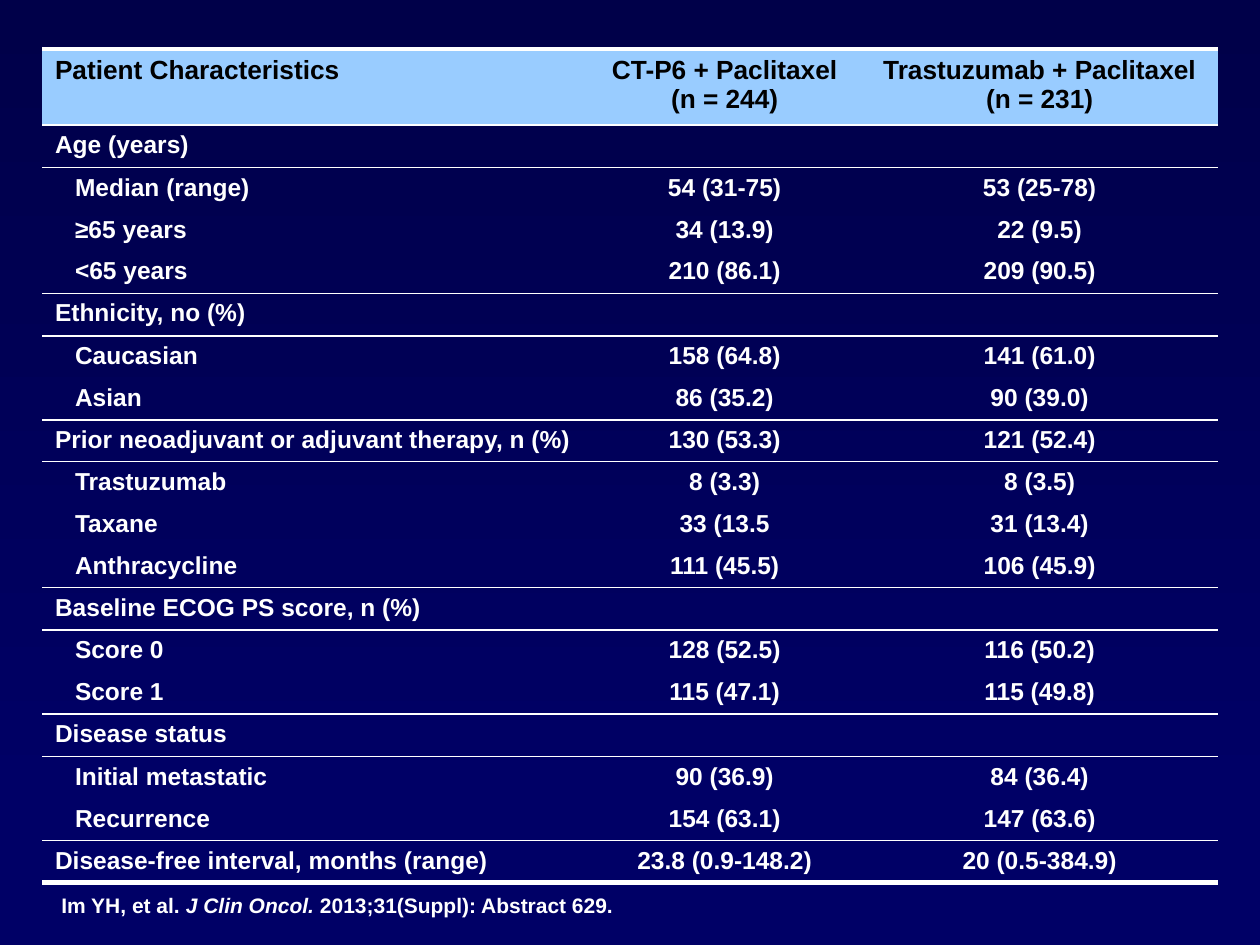
"""Build a slide with a table of patient characteristics by treatment arm."""
import pptx
import pptx.dml.color
import pptx.enum.shapes
import pptx.enum.text
import pptx.oxml.ns
import pptx.util
from lxml import etree

PX = 914400 // 126
FONT = "Arial"
WHITE, BLACK, HEADER_BLUE = "FFFFFF", "000000", "99CCFF"
NAVY, DARK_NAVY = "000066", "000049"
NO_TABLE_STYLE = "{2D5ABB26-0587-4C30-8999-92F81FD0307C}"
COLUMN_WIDTHS = (546, 273, 357)
HEADER_HEIGHT, ROW_HEIGHT = 76, 42
CELL_MARGIN, INDENT = 13, 20

HEADINGS = (
    ["Patient Characteristics"],
    ["CT-P6 + Paclitaxel", "(n = 244)"],
    ["Trastuzumab + Paclitaxel", "(n = 231)"],
)
GROUPS = (
    (("Age (years)", "", ""),
     ("Median (range)", "54 (31-75)", "53 (25-78)"),
     ("≥65 years", "34 (13.9)", "22 (9.5)"),
     ("<65 years", "210 (86.1)", "209 (90.5)")),
    (("Ethnicity, no (%)", "", ""),
     ("Caucasian", "158 (64.8)", "141 (61.0)"),
     ("Asian", "86 (35.2)", "90 (39.0)")),
    (("Prior neoadjuvant or adjuvant therapy, n (%)", "130 (53.3)", "121 (52.4)"),
     ("Trastuzumab", "8 (3.3)", "8 (3.5)"),
     ("Taxane", "33 (13.5", "31 (13.4)"),
     ("Anthracycline", "111 (45.5)", "106 (45.9)")),
    (("Baseline ECOG PS score, n (%)", "", ""),
     ("Score 0", "128 (52.5)", "116 (50.2)"),
     ("Score 1", "115 (47.1)", "115 (49.8)")),
    (("Disease status", "", ""),
     ("Initial metastatic", "90 (36.9)", "84 (36.4)"),
     ("Recurrence", "154 (63.1)", "147 (63.6)")),
    (("Disease-free interval, months (range)", "23.8 (0.9-148.2)", "20 (0.5-384.9)"),),
)


def px(length):
    return pptx.util.Emu(length * PX)


def rgb(value):
    return pptx.dml.color.RGBColor.from_string(value)


def add_run(paragraph, text, size, color, italic=False):
    run = paragraph.add_run()
    run.text = text
    run.font.name = FONT
    run.font.size = pptx.util.Pt(size)
    run.font.bold = True
    run.font.italic = italic
    run.font.color.rgb = rgb(color)


def add_backdrop(slide):
    slide.background.fill.solid()
    slide.background.fill.fore_color.rgb = rgb(NAVY)
    backdrop = slide.shapes.add_shape(
        pptx.enum.shapes.MSO_SHAPE.RECTANGLE, 0, 0, px(1260), px(809))
    backdrop.shadow.inherit = False
    backdrop.line.fill.background()
    backdrop.fill.gradient()
    backdrop.fill.gradient_angle = 270
    for stop, color, position in zip(
            backdrop.fill.gradient_stops, (DARK_NAVY, NAVY), (0, 1)):
        stop.color.rgb = rgb(color)
        stop.position = position


def add_rule(cell, side, points):
    """Draw a white rule on the top ("T") or bottom ("B") of a cell."""
    qn = pptx.oxml.ns.qn
    properties = cell._tc.get_or_add_tcPr()
    rule = etree.Element(qn(f"a:ln{side}"), w=str(pptx.util.Pt(points)))
    fill = etree.SubElement(rule, qn("a:solidFill"))
    etree.SubElement(fill, qn("a:srgbClr"), val=WHITE)
    properties.insert(len(properties.findall(qn("a:lnT"))), rule)


def fill_cell(cell, lines, size, color, centered, indent=0):
    cell.margin_left = px(CELL_MARGIN + indent)
    frame = cell.text_frame
    for number, line in enumerate(lines):
        paragraph = frame.add_paragraph() if number else frame.paragraphs[0]
        if centered:
            paragraph.alignment = pptx.enum.text.PP_ALIGN.CENTER
        if line:
            add_run(paragraph, line, size, color)
        else:
            etree.SubElement(paragraph._p, pptx.oxml.ns.qn("a:endParaRPr"),
                             sz=str(size * 100))


def add_characteristics(slide):
    row_count = 1 + sum(len(group) for group in GROUPS)
    height = HEADER_HEIGHT + ROW_HEIGHT * (row_count - 1)
    table = slide.shapes.add_table(
        row_count, len(COLUMN_WIDTHS), px(42), px(49),
        px(sum(COLUMN_WIDTHS)), px(height)).table
    table.first_row = table.horz_banding = False
    table._tbl.tblPr.find(pptx.oxml.ns.qn("a:tableStyleId")).text = NO_TABLE_STYLE
    for column, width in zip(table.columns, COLUMN_WIDTHS):
        column.width = px(width)
    for number, row in enumerate(table.rows):
        row.height = px(ROW_HEIGHT if number else HEADER_HEIGHT)

    for column, lines in enumerate(HEADINGS):
        cell = table.cell(0, column)
        cell.fill.solid()
        cell.fill.fore_color.rgb = rgb(HEADER_BLUE)
        fill_cell(cell, lines, 15, BLACK, column > 0)
        add_rule(cell, "T", 3)
        add_rule(cell, "B", 1)

    row = 1
    for group in GROUPS:
        for position, entries in enumerate(group):
            for column, entry in enumerate(entries):
                cell = table.cell(row, column)
                cell.fill.background()
                indent = INDENT if position and not column else 0
                fill_cell(cell, [entry], 14, WHITE, column > 0, indent)
                if position == 0:
                    add_rule(cell, "T", 1)
                if position == len(group) - 1:
                    add_rule(cell, "B", 3 if row == row_count - 1 else 1)
            row += 1


def add_citation(slide):
    frame = slide.shapes.add_textbox(px(49), px(886), px(988), px(38)).text_frame
    frame.word_wrap = True
    citation = frame.paragraphs[0]
    add_run(citation, "Im YH, et al. ", 12, WHITE)
    add_run(citation, "J Clin Oncol.", 12, WHITE, italic=True)
    add_run(citation, " 2013;31(Suppl): Abstract 629.", 12, WHITE)


def main():
    deck = pptx.Presentation()
    deck.slide_width, deck.slide_height = px(1260), px(945)
    slide = deck.slides.add_slide(deck.slide_layouts[6])
    add_backdrop(slide)
    add_characteristics(slide)
    add_citation(slide)
    deck.save("out.pptx")


if __name__ == "__main__":
    main()
